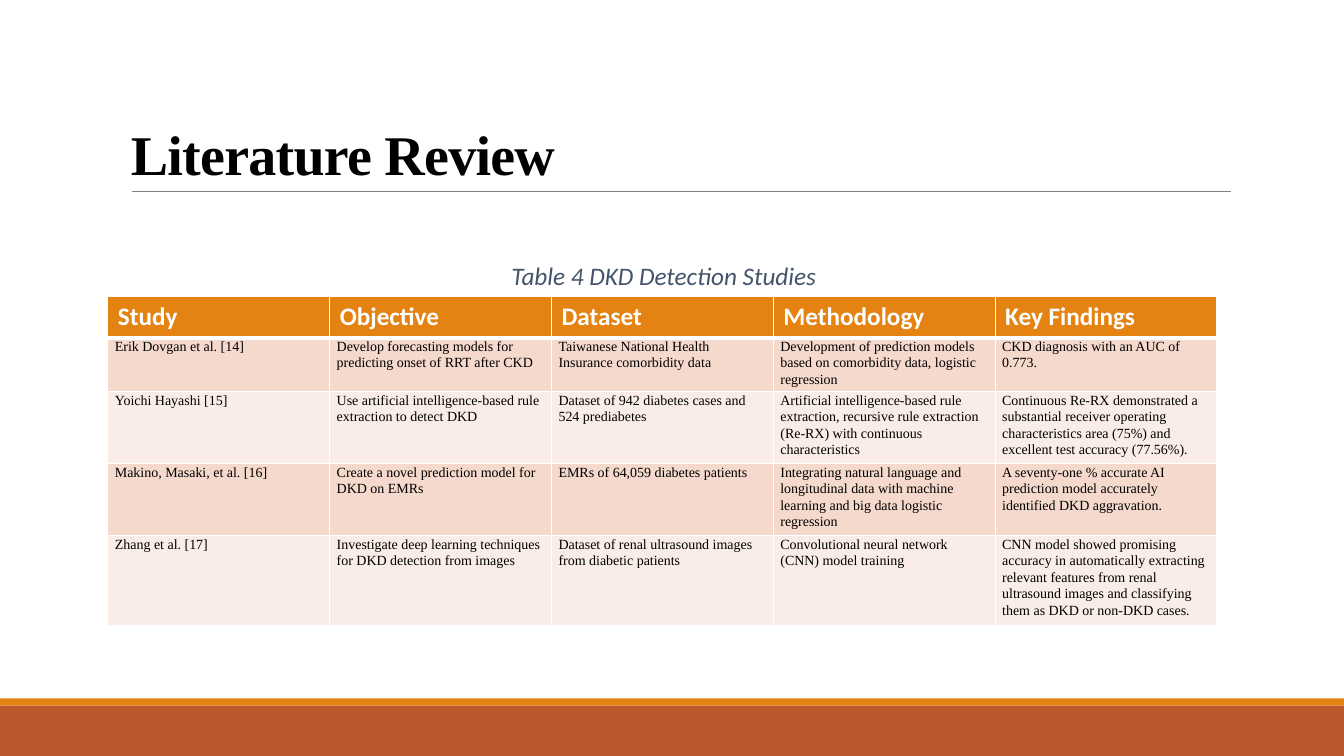
from lxml import etree
from pptx import Presentation
from pptx import util as u
from pptx.dml.color import RGBColor
from pptx.enum import shapes, text
from pptx.oxml.ns import qn

WIDTH, HEIGHT = 13.33, 7.5
ORANGE, RUST, WHITE = "E48312", "BD582C", "FFFFFF"
BANDS = ("F5D9CC", "FAEDE7")
SERIF, SANS = "Times New Roman", "Calibri"

HEADINGS = ["Study", "Objective", "Dataset", "Methodology", "Key Findings"]
STUDIES = [
    ["Erik Dovgan et al. [14]",
     "Develop forecasting models for predicting onset of RRT after CKD",
     "Taiwanese National Health Insurance comorbidity data",
     "Development of prediction models based on comorbidity data, logistic regression",
     "CKD diagnosis with an AUC of 0.773."],
    ["Yoichi Hayashi [15]",
     "Use artificial intelligence-based rule extraction to detect DKD",
     "Dataset of 942 diabetes cases and 524 prediabetes",
     "Artificial intelligence-based rule extraction, recursive rule extraction "
     "(Re-RX) with continuous characteristics",
     "Continuous Re-RX demonstrated a substantial receiver operating "
     "characteristics area (75%) and excellent test accuracy (77.56%)."],
    ["Makino, Masaki, et al. [16]",
     "Create a novel prediction model for DKD on EMRs",
     "EMRs of 64,059 diabetes patients",
     "Integrating natural language and longitudinal data with machine learning "
     "and big data logistic regression",
     "A seventy-one % accurate AI prediction model accurately identified DKD aggravation."],
    ["Zhang et al. [17]",
     "Investigate deep learning techniques for DKD detection from images",
     "Dataset of renal ultrasound images from diabetic patients",
     "Convolutional neural network (CNN) model training",
     "CNN model showed promising accuracy in automatically extracting relevant features "
     "from renal ultrasound images and classifying them as DKD or non-DKD cases."],
]


def color(hex_code):
    return RGBColor.from_string(hex_code)


def inches(*lengths):
    return [u.Inches(length) for length in lengths]


def write(frame, words, size, font, ink, bold=False, italic=False, align=None,
          line_spacing=None, space_after=None, tracking=None):
    frame.word_wrap = True
    para = frame.paragraphs[0]
    para.alignment = align
    para.line_spacing = line_spacing
    if space_after is not None:
        para.space_after = u.Pt(space_after)
    span = para.add_run()
    span.text = words
    span.font.size = u.Pt(size)
    span.font.name = font
    span.font.bold = bold
    span.font.italic = italic
    span.font.color.rgb = color(ink)
    if tracking is not None:
        span.font._element.set("spc", str(round(tracking * 100)))


def add_text(page, at, words, anchor=text.MSO_ANCHOR.TOP, **style):
    box = page.shapes.add_textbox(*inches(*at))
    box.text_frame.vertical_anchor = anchor
    write(box.text_frame, words, **style)


def add_band(page, top, height, fill):
    """Add a full-width bar without an outline."""
    bar = page.shapes.add_shape(shapes.MSO_SHAPE.RECTANGLE, *inches(0, top, WIDTH, height))
    bar.shadow.inherit = False
    bar.fill.solid()
    bar.fill.fore_color.rgb = color(fill)
    bar.line.fill.background()


def add_rule(page, left, right, y, ink, weight):
    rule = page.shapes.add_connector(shapes.MSO_CONNECTOR.STRAIGHT, *inches(left, y, right, y))
    rule.line.color.rgb = color(ink)
    rule.line.width = u.Pt(weight)
    etree.SubElement(rule._element.spPr, qn("a:effectLst"))


def set_borders(cell, **weights):
    """Draw white borders; weights maps the sides L, R, T, B to points."""
    properties = cell._tc.get_or_add_tcPr()
    for position, side in enumerate("LRTB"):
        line = etree.Element(qn("a:ln" + side), w=str(u.Pt(weights.get(side, 1))))
        fill = etree.SubElement(line, qn("a:solidFill"))
        etree.SubElement(fill, qn("a:srgbClr"), val=WHITE)
        properties.insert(position, line)


def fill_cell(cell, words, fill, **style):
    cell.fill.solid()
    cell.fill.fore_color.rgb = color(fill)
    write(cell.text_frame, words, **style)


def add_studies_table(page, left, top, column_width, row_height):
    rows, columns = len(STUDIES) + 1, len(HEADINGS)
    size = (column_width * columns, row_height * rows)
    table = page.shapes.add_table(rows, columns, *inches(left, top, *size)).table
    for column, heading in enumerate(HEADINGS):
        cell = table.cell(0, column)
        fill_cell(cell, heading, ORANGE, size=18, font=SANS, ink=WHITE, bold=True)
        set_borders(cell, B=3)
    for row, study in enumerate(STUDIES, start=1):
        for column, words in enumerate(study):
            cell = table.cell(row, column)
            cell.margin_left = cell.margin_right = u.Inches(0.07)
            cell.margin_top = cell.margin_bottom = 0
            fill_cell(cell, words, BANDS[(row - 1) % 2], size=10, font=SERIF,
                      ink="000000", line_spacing=1.07, space_after=8)
            set_borders(cell, T=3 if row == 1 else 1)


def main():
    deck = Presentation()
    deck.slide_width, deck.slide_height = inches(WIDTH, HEIGHT)
    page = deck.slides.add_slide(deck.slide_layouts[6])
    add_band(page, 7, 0.5, RUST)
    add_band(page, 6.93, 0.07, ORANGE)
    add_rule(page, 1.31, 12.21, 1.9, "808080", 0.5)
    add_text(page, (1.2, 0.31, 11, 1.59), "Literature Review", text.MSO_ANCHOR.BOTTOM,
             size=40, font=SERIF, ink="000000", bold=True, line_spacing=0.85, tracking=-0.5)
    add_studies_table(page, 1.07, 2.94, 2.2, 0.41)
    add_text(page, (3.25, 2.53, 6.67, 0.4), "Table 4 DKD Detection Studies",
             size=18, font=SANS, ink="44546A", italic=True,
             align=text.PP_ALIGN.CENTER, space_after=10)
    deck.save("out.pptx")


if __name__ == "__main__":
    main()
